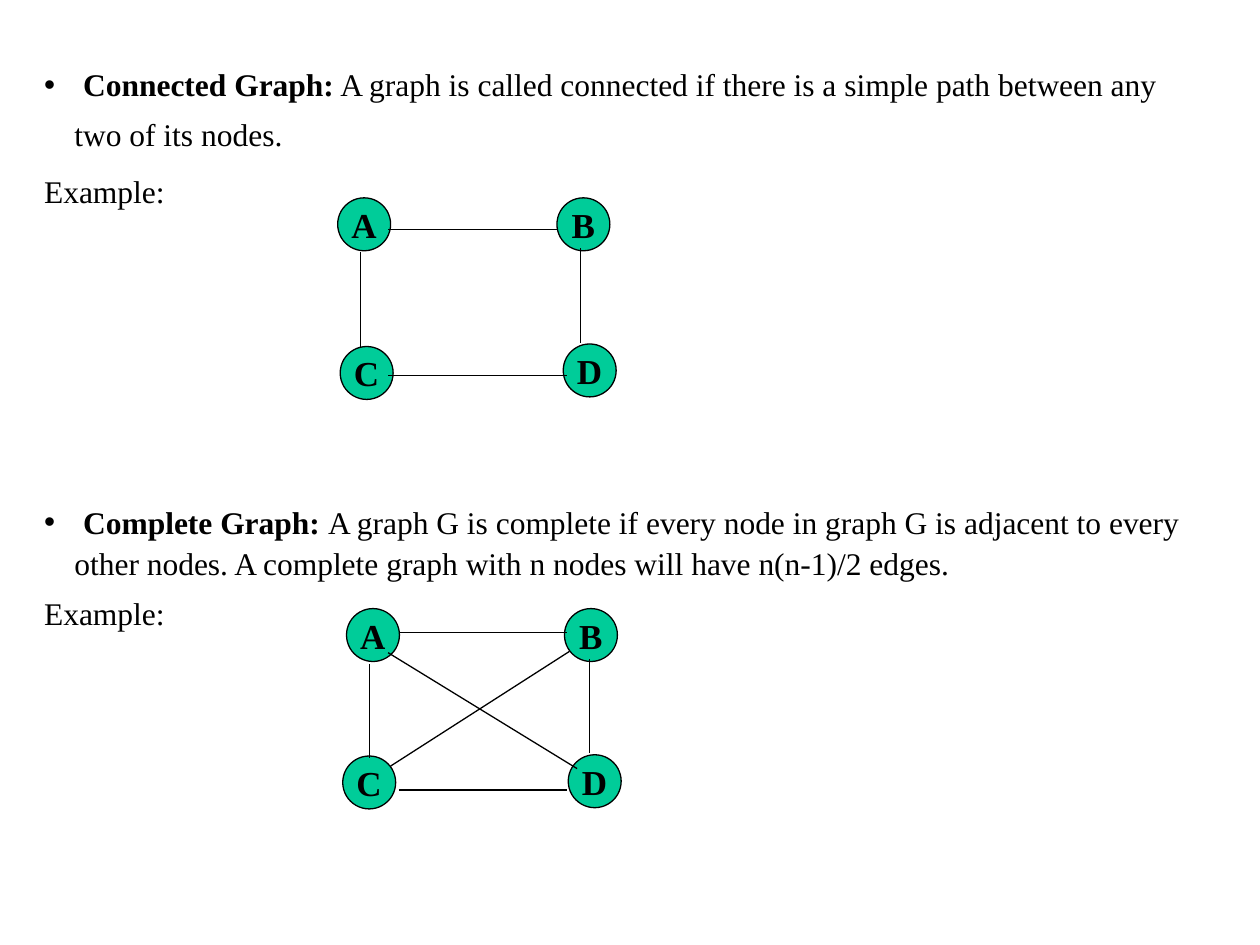
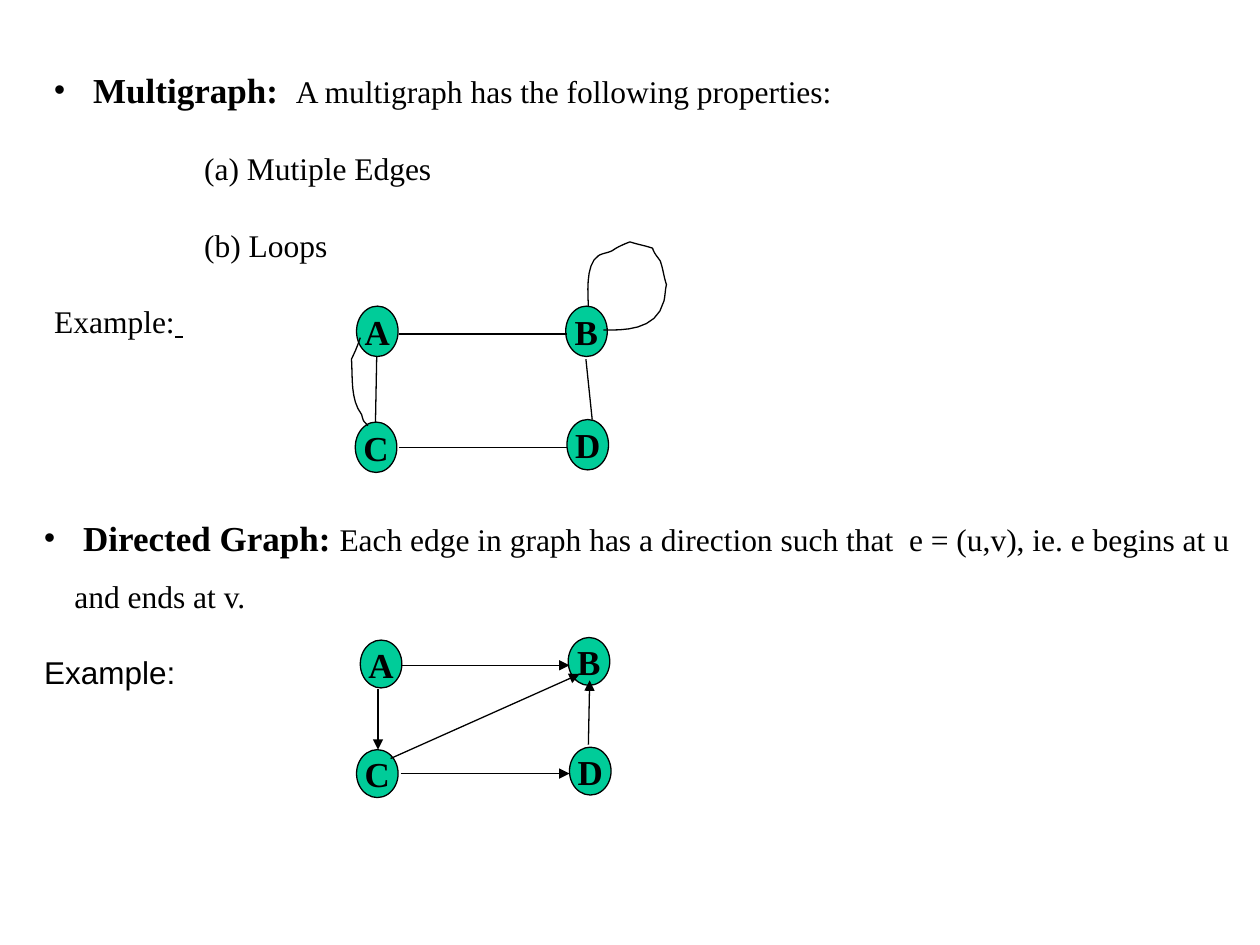
import pptx
import pptx.util
import pptx.dml.color
import pptx.enum.shapes
import pptx.enum.text
import pptx.oxml.ns
from lxml import etree

BLACK = pptx.dml.color.RGBColor(0x00, 0x00, 0x00)
NODE_GREEN = pptx.dml.color.RGBColor(0x00, 0xCC, 0x99)
SERIF = "Times New Roman"
SANS = "Arial"
COLUMNS, ROWS = 10, 7.5
HANGING, PROPERTY_INDENT = 0.24, 1.19
TWO_CONTENT = 3
CURVE_STEPS = 8


def run(text, size=18, bold=False, font=SERIF, underline=False):
    return text, size, bold, font, underline


def line(spacing, *runs, bullet=False, indent=0):
    return spacing, runs, bullet, indent


BULLET_GAP = run(" ", font=SANS)
EXAMPLE = run("Example:")

SLIDES = [
    [
        {
            "area": (0.25, 0.38, 9.42, 1.4),
            "lines": [
                line(1.3, BULLET_GAP, run("Connected Graph:", bold=True),
                     run(" A graph is called connected if there is a simple path between any two of its nodes."),
                     bullet=True),
                line(1, EXAMPLE),
            ],
            "node_size": (0.42, 0.42),
            "nodes": {"A": (2.68, 1.57), "B": (4.42, 1.57), "C": (2.7, 2.75), "D": (4.47, 2.73)},
            "edges": [((2.86, 2), (2.86, 2.75)), ((3.08, 1.82), (4.42, 1.82)),
                      ((4.61, 2.72), (4.61, 1.97)), ((3.08, 2.98), (4.5, 2.98))],
        },
        {
            "area": (0.25, 3.91, 9.42, 1.2),
            "lines": [
                line(1.1, BULLET_GAP, run("Complete Graph: ", bold=True),
                     run("A graph G is complete if every node in graph G is adjacent to every other nodes. "
                         "A complete graph with n nodes will have n(n-1)/2 edges."),
                     bullet=True),
                line(0.8, EXAMPLE),
            ],
            "node_size": (0.42, 0.42),
            "nodes": {"A": (2.75, 4.83), "B": (4.48, 4.83), "C": (2.72, 6), "D": (4.51, 5.99)},
            "edges": [((2.93, 5.27), (2.93, 6.02)), ((3.17, 5.02), (4.5, 5.02)),
                      ((4.68, 5.98), (4.68, 5.23)), ((3.17, 6.27), (4.5, 6.27)),
                      ((3.08, 5.18), (4.58, 6.1)), ((4.52, 5.17), (3.1, 6.08))],
        },
    ],
    [
        {
            "area": (0.33, 0.33, 9.33, 2.42),
            "lines": [
                line(1.5, BULLET_GAP, run("Multigraph:  ", size=20, bold=True),
                     run("A multigraph has the following properties:"), bullet=True),
                line(1.5, run("(a) Mutiple Edges"), indent=PROPERTY_INDENT),
                line(1.5, run("(b) Loops"), indent=PROPERTY_INDENT),
                line(1.5, EXAMPLE, run(" ", bold=True, underline=True)),
            ],
            "node_size": (0.33, 0.4),
            "nodes": {"A": (2.83, 2.43), "B": (4.49, 2.43), "C": (2.82, 3.35), "D": (4.5, 3.33)},
            "edges": [((3.17, 2.65), (4.5, 2.65)), ((4.65, 2.85), (4.7, 3.33)),
                      ((3.17, 3.55), (4.5, 3.55)), ((2.99, 2.83), (2.98, 3.35))],
            "curves": [
                [(4.67, 2.43),
                 (4.67, 2.36), (4.64, 2.1), (4.75, 2.03),
                 (4.78, 2.01), (4.82, 2.01), (4.86, 1.99),
                 (4.9, 1.96), (4.95, 1.94), (5, 1.92),
                 (5.06, 1.94), (5.12, 1.95), (5.18, 1.97),
                 (5.19, 2.01), (5.22, 2.04), (5.24, 2.07),
                 (5.26, 2.12), (5.27, 2.2), (5.29, 2.26),
                 (5.28, 2.3), (5.28, 2.35), (5.27, 2.39),
                 (5.21, 2.63), (4.94, 2.62), (4.79, 2.62)],
                [(2.86, 2.68),
                 (2.84, 2.74), (2.82, 2.79), (2.79, 2.85),
                 (2.8, 3), (2.78, 3.17), (2.87, 3.29),
                 (2.89, 3.36), (2.88, 3.33), (2.92, 3.38)],
            ],
        },
        {
            "area": (0.25, 3.88, 9.75, 1.66),
            "lines": [
                line(1.5, BULLET_GAP, run("Directed Graph: ", size=20, bold=True),
                     run("Each edge in graph has a direction such that  e = (u,v), ie. e begins at u and ends at v."),
                     bullet=True),
                line(1.5, run("Example:", font=SANS)),
            ],
            "node_size": (0.33, 0.38),
            "nodes": {"A": (2.86, 5.08), "B": (4.51, 5.06), "C": (2.83, 5.95), "D": (4.52, 5.93)},
            "edges": [((3.18, 5.28), (4.52, 5.28)), ((3, 5.47), (3, 5.95)),
                      ((4.67, 5.91), (4.68, 5.4)), ((3.18, 6.14), (4.52, 6.14)),
                      ((3.1, 6.02), (4.6, 5.35))],
            "directed": True,
        },
    ],
]

deck = pptx.Presentation()
deck.slide_width = pptx.util.Inches(10)
deck.slide_height = pptx.util.Inches(7.5)
COLUMN = deck.slide_width / COLUMNS
ROW = deck.slide_height / ROWS


def place(*lengths):
    return [round(length * (ROW if i % 2 else COLUMN)) for i, length in enumerate(lengths)]


def add_run(paragraph, text, size, bold, font, underline):
    piece = paragraph.add_run()
    piece.text = text
    piece.font.size = pptx.util.Pt(size)
    piece.font.bold = bold
    piece.font.name = font
    piece.font.color.rgb = BLACK
    if underline:
        piece.font.underline = True


def fill_definition(body, area, lines):
    body.left, body.top, body.width, body.height = place(*area)
    frame = body.text_frame
    frame.word_wrap = True
    frame.auto_size = pptx.enum.text.MSO_AUTO_SIZE.NONE
    for i, (spacing, runs, bullet, indent) in enumerate(lines):
        paragraph = frame.add_paragraph() if i else frame.paragraphs[0]
        properties = paragraph._p.get_or_add_pPr()
        margin = HANGING if bullet else indent
        properties.set("marL", str(round(margin * COLUMN)))
        properties.set("indent", str(round(-HANGING * COLUMN) if bullet else 0))
        if not bullet:
            etree.SubElement(properties, pptx.oxml.ns.qn("a:buNone"))
        paragraph.line_spacing = float(spacing)
        paragraph.space_before = pptx.util.Pt(11.2 if i else 0)
        for piece in runs:
            add_run(paragraph, *piece)


def outline(part):
    part.line.color.rgb = BLACK
    part.line.width = pptx.util.Pt(0.75)


def add_node(shapes, label, corner, size):
    node = shapes.add_shape(pptx.enum.shapes.MSO_SHAPE.OVAL, *place(*corner, *size))
    node.shadow.inherit = False
    node.fill.solid()
    node.fill.fore_color.rgb = NODE_GREEN
    outline(node)
    frame = node.text_frame
    frame.word_wrap = False
    frame.vertical_anchor = pptx.enum.text.MSO_ANCHOR.MIDDLE
    frame.paragraphs[0].alignment = pptx.enum.text.PP_ALIGN.CENTER
    add_run(frame.paragraphs[0], *run(label, size=20, bold=True))


def add_edge(shapes, start, end, directed):
    edge = shapes.add_connector(pptx.enum.shapes.MSO_CONNECTOR.STRAIGHT, *place(*start, *end))
    outline(edge)
    etree.SubElement(edge._element.spPr, pptx.oxml.ns.qn("a:effectLst"))
    if directed:
        arrow = etree.SubElement(edge.line._get_or_add_ln(), pptx.oxml.ns.qn("a:tailEnd"))
        arrow.set("type", "triangle")


def bezier(t, *points):
    weights = ((1 - t) ** 3, 3 * t * (1 - t) ** 2, 3 * t ** 2 * (1 - t), t ** 3)
    return [sum(w * point[axis] for w, point in zip(weights, points)) for axis in (0, 1)]


def add_curve(shapes, points):
    trail = [place(*bezier(step / CURVE_STEPS, *points[i:i + 4]))
             for i in range(0, len(points) - 1, 3) for step in range(1, CURVE_STEPS + 1)]
    builder = shapes.build_freeform(*place(*points[0]))
    builder.add_line_segments(trail, close=False)
    curve = builder.convert_to_shape()
    curve.shadow.inherit = False
    curve.fill.background()
    outline(curve)


def add_graph(shapes, graph):
    for label, corner in graph["nodes"].items():
        add_node(shapes, label, corner, graph["node_size"])
    for start, end in graph["edges"]:
        add_edge(shapes, start, end, graph.get("directed", False))
    for points in graph.get("curves", []):
        add_curve(shapes, points)


for graphs in SLIDES:
    slide = deck.slides.add_slide(deck.slide_layouts[TWO_CONTENT])
    title = slide.shapes.title._element
    title.getparent().remove(title)
    for body, graph in zip(list(slide.placeholders), graphs):
        fill_definition(body, graph["area"], graph["lines"])
    for graph in graphs:
        add_graph(slide.shapes.add_group_shape().shapes, graph)

deck.save("out.pptx")
